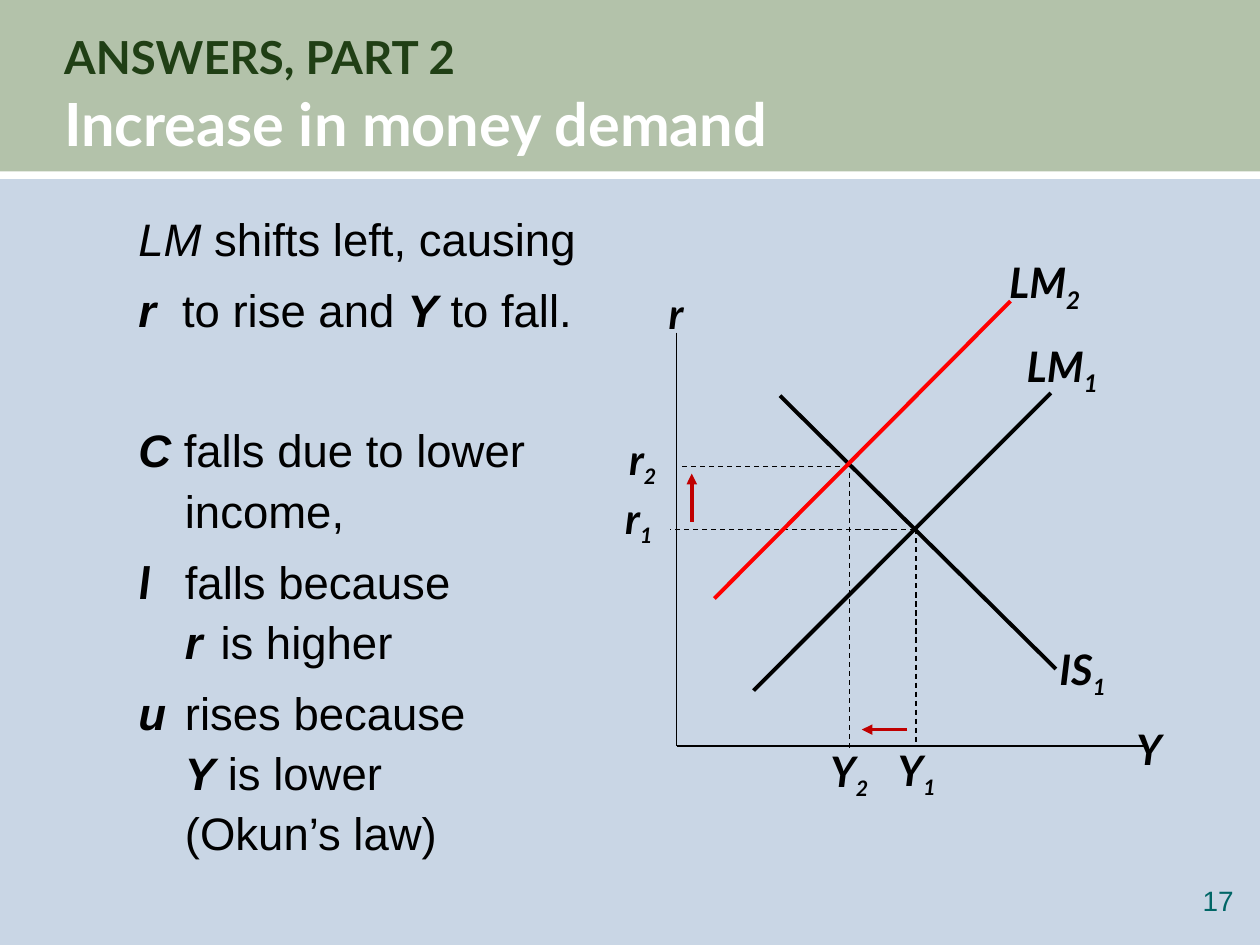
from dataclasses import dataclass
from typing import Optional

from lxml import etree
from pptx import Presentation
from pptx.dml.color import RGBColor
from pptx.enum.dml import MSO_LINE
from pptx.enum.shapes import MSO_CONNECTOR, MSO_SHAPE
from pptx.enum.text import MSO_ANCHOR, PP_ALIGN
from pptx.oxml.ns import qn
from pptx.util import Pt

STRAIGHT = MSO_CONNECTOR.STRAIGHT
RECTANGLE = MSO_SHAPE.RECTANGLE
DASH = MSO_LINE.DASH
MIDDLE, TOP = MSO_ANCHOR.MIDDLE, MSO_ANCHOR.TOP
LEFT, CENTER, RIGHT = PP_ALIGN.LEFT, PP_ALIGN.CENTER, PP_ALIGN.RIGHT

PALE_BLUE = RGBColor(0xC9, 0xD6, 0xE5)
SAGE = RGBColor(0xB3, 0xC2, 0xAA)
DARK_GREEN = RGBColor(0x20, 0x3F, 0x15)
TEAL = RGBColor(0x00, 0x66, 0x66)
WHITE = RGBColor(0xFF, 0xFF, 0xFF)
BLACK = RGBColor(0x00, 0x00, 0x00)
RED = RGBColor(0xFF, 0x00, 0x00)
DARK_RED = RGBColor(0xC0, 0x00, 0x00)

BODY_SIZE = 26
BODY_GAP = 6.5
SECTION_GAP = 45.9


@dataclass
class Span:
    text: str
    size: float = BODY_SIZE
    font: str = "Arial"
    color: RGBColor = BLACK
    bold: bool = False
    italic: bool = False
    subscript: bool = False


@dataclass
class Para:
    spans: list[Span]
    align: PP_ALIGN = LEFT
    line_spacing: float = 1.0
    space_before: float = 0
    hang: float = 0


@dataclass
class Line:
    start: tuple[float, float]
    end: tuple[float, float]
    color: RGBColor = BLACK
    width: float = 2.25
    dashed: bool = False
    arrow: bool = False


@dataclass
class Label:
    """A curve or axis name; left, top and width locate its box."""
    name: str
    index: str
    left: float
    top: float
    width: float
    align: PP_ALIGN = CENTER
    index_size: float = 21


def symbol(text: str, font: str = "Arial") -> Span:
    return Span(text, font=font, bold=True, italic=True)


def body_para(*spans: Span, gap: float = BODY_GAP, hang: float = 26.6) -> Para:
    return Para(list(spans), line_spacing=1.1, space_before=gap, hang=hang)


def add_span(para, span: Span) -> None:
    """Append a span, turning each newline into a line break."""
    for number, piece in enumerate(span.text.split("\n")):
        if number:
            para.add_line_break()
        if not piece:
            continue
        run = para.add_run()
        run.text = piece
        formats = {"size": Pt(span.size), "name": span.font,
                   "bold": span.bold, "italic": span.italic}
        for key, value in formats.items():
            setattr(run.font, key, value)
        run.font.color.rgb = span.color
        if span.subscript:
            run.font._element.set("baseline", "-25000")


def add_text(page, left: float, top: float, width: float, height: float,
             paras: list[Para], anchor: MSO_ANCHOR = TOP,
             insets: tuple[float, float, float, float] = (0, 0, 0, 0)) -> None:
    """Add a text box; insets run left, top, right, bottom."""
    box = page.shapes.add_textbox(Pt(left), Pt(top), Pt(width), Pt(height))
    frame = box.text_frame
    formats = {"word_wrap": True, "vertical_anchor": anchor}
    for side, inset in zip(("left", "top", "right", "bottom"), insets):
        formats[f"margin_{side}"] = Pt(inset)
    for key, value in formats.items():
        setattr(frame, key, value)
    for number, item in enumerate(paras):
        para = frame.add_paragraph() if number else frame.paragraphs[0]
        formats = {"alignment": item.align, "line_spacing": item.line_spacing,
                   "space_before": Pt(item.space_before)}
        for key, value in formats.items():
            setattr(para, key, value)
        if item.hang:
            properties = para._p.get_or_add_pPr()
            properties.set("marL", str(int(Pt(item.hang))))
            properties.set("indent", str(-int(Pt(item.hang))))
        for span in item.spans:
            add_span(para, span)


def add_band(page, top: float, height: float, color: RGBColor) -> None:
    band = page.shapes.add_shape(RECTANGLE, 0, Pt(top), Pt(720), Pt(height))
    band.shadow.inherit = False
    band.fill.solid()
    band.fill.fore_color.rgb = color
    band.line.fill.background()


def add_line(page, line: Line) -> None:
    ends = [Pt(value) for value in (*line.start, *line.end)]
    connector = page.shapes.add_connector(STRAIGHT, *ends)
    connector.line.color.rgb = line.color
    connector.line.width = Pt(line.width)
    if line.dashed:
        connector.line.dash_style = DASH
    if line.arrow:
        tail = etree.SubElement(connector.line._get_or_add_ln(), qn("a:tailEnd"))
        tail.set("type", "triangle")
    etree.SubElement(connector._element.spPr, qn("a:effectLst"))


def add_label(page, label: Label) -> None:
    style = {"font": "Lato", "bold": True, "italic": True}
    spans = [Span(label.name, 24, **style)]
    if label.index:
        spans.append(Span(label.index, label.index_size, subscript=True, **style))
    add_text(page, label.left, label.top, label.width, 36,
             [Para(spans, label.align)], insets=(7.2, 3.6, 7.2, 3.6))


TITLE = [Para([
    Span("ANSWERS, PART 2\n", 26, "Lato", DARK_GREEN, bold=True),
    Span("Increase in money demand", 34, "Lato", WHITE, bold=True),
], line_spacing=1.05)]

BODY = [
    body_para(Span("LM", italic=True), Span(" shifts left, causing"), gap=0),
    body_para(symbol("r"), Span("\tto rise and "), symbol("Y"),
              Span(" to fall."), hang=25),
    body_para(symbol("C"), Span(" falls due to lower income,"), gap=SECTION_GAP),
    body_para(symbol("I", "Lato"), Span("\tfalls because\n"), symbol("r"),
              Span(" ", 11), Span(" is higher")),
    body_para(symbol("u"), Span("\trises because\n"), symbol("Y"),
              Span(" is lower\n(Okun’s law)")),
]

LINES = [
    Line((445.7, 226.1), (603.4, 382.3)),
    Line((386.6, 190.1), (386.6, 426.2), width=1),
    Line((386.6, 426.2), (654.5, 426.2), width=1),
    Line((430.6, 394.6), (600.5, 224.6)),
    Line((522.7, 302.4), (383, 302.4), width=0.75, dashed=True),
    Line((523.4, 302.4), (523.4, 425.5), width=0.75, dashed=True),
    Line((485.3, 270), (485.3, 427.7), width=0.75, dashed=True),
    Line((485.3, 266.4), (387.4, 266.4), width=0.75, dashed=True),
    Line((518.4, 416.9), (492.5, 416.9), DARK_RED, 2, arrow=True),
    Line((395.3, 298.1), (395.3, 270.7), DARK_RED, 2, arrow=True),
    Line((408.2, 342), (577.4, 172.1), RED),
]

LABELS = [
    Label("IS", "1", 598.3, 364.3, 54, LEFT, 22),
    Label("Y", "", 634, 409.7, 45.4),
    Label("r", "", 370.1, 160.6, 32.4),
    Label("LM", "1", 579.6, 190.8, 61.2, LEFT, 24),
    Label("r", "1", 342, 277.9, 46.1),
    Label("Y", "1", 496.8, 421.9, 54),
    Label("Y", "2", 464.4, 422.6, 41.8),
    Label("r", "2", 349.2, 244.1, 36),
    Label("LM", "2", 569.5, 143.3, 61.2, LEFT, 24),
]


def main() -> None:
    deck = Presentation()
    deck.slide_width, deck.slide_height = Pt(720), Pt(540)
    page = deck.slides.add_slide(deck.slide_layouts[6])
    page.background.fill.solid()
    page.background.fill.fore_color.rgb = PALE_BLUE

    add_band(page, -0.7, 101.5, SAGE)
    add_text(page, 36.7, 15.8, 649.4, 74.2, TITLE, MIDDLE)
    add_band(page, 97.9, 4.3, WHITE)
    number = Para([Span("17", 16, color=TEAL)], RIGHT)
    add_text(page, 665.3, 504.7, 39.6, 23, [number])
    for line in LINES:
        add_line(page, line)
    for label in LABELS:
        add_label(page, label)
    add_text(page, 72, 113.8, 262.1, 408.2, BODY, insets=(7.2, 3.6, 0, 3.6))

    deck.save("out.pptx")


if __name__ == "__main__":
    main()
